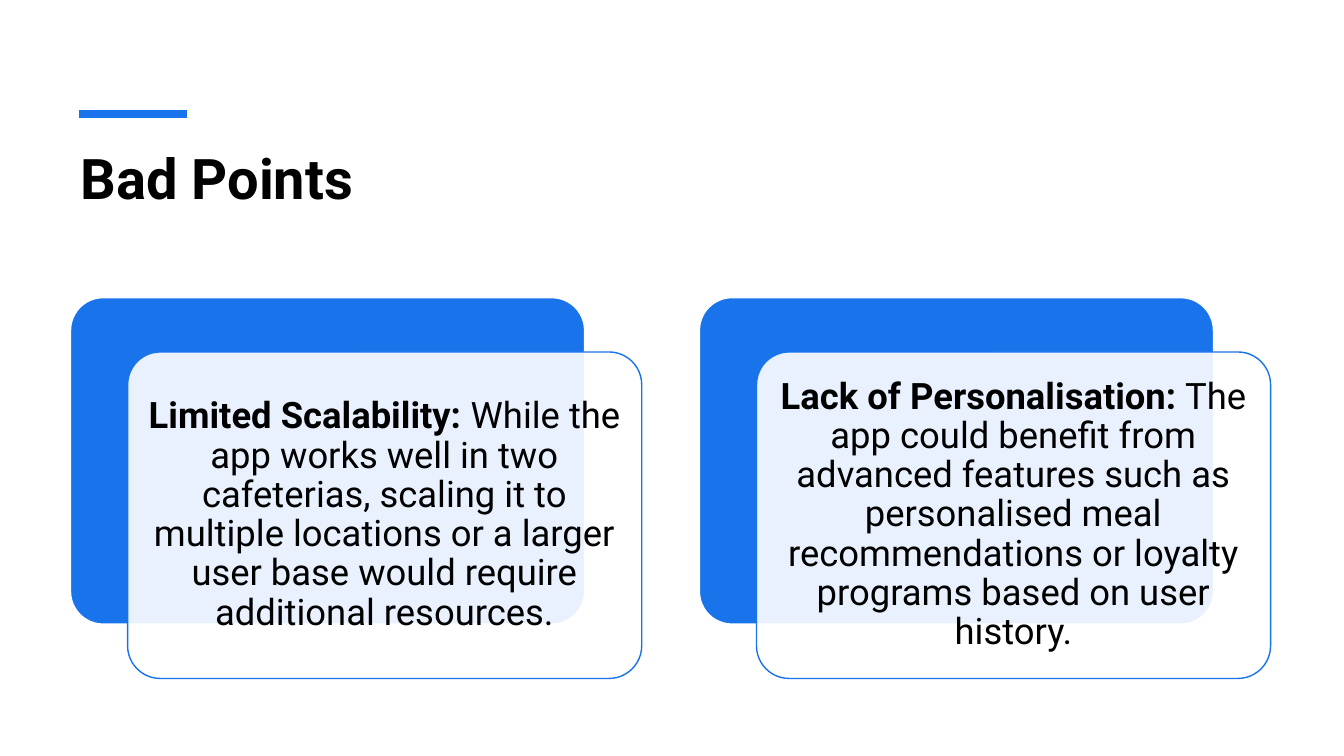
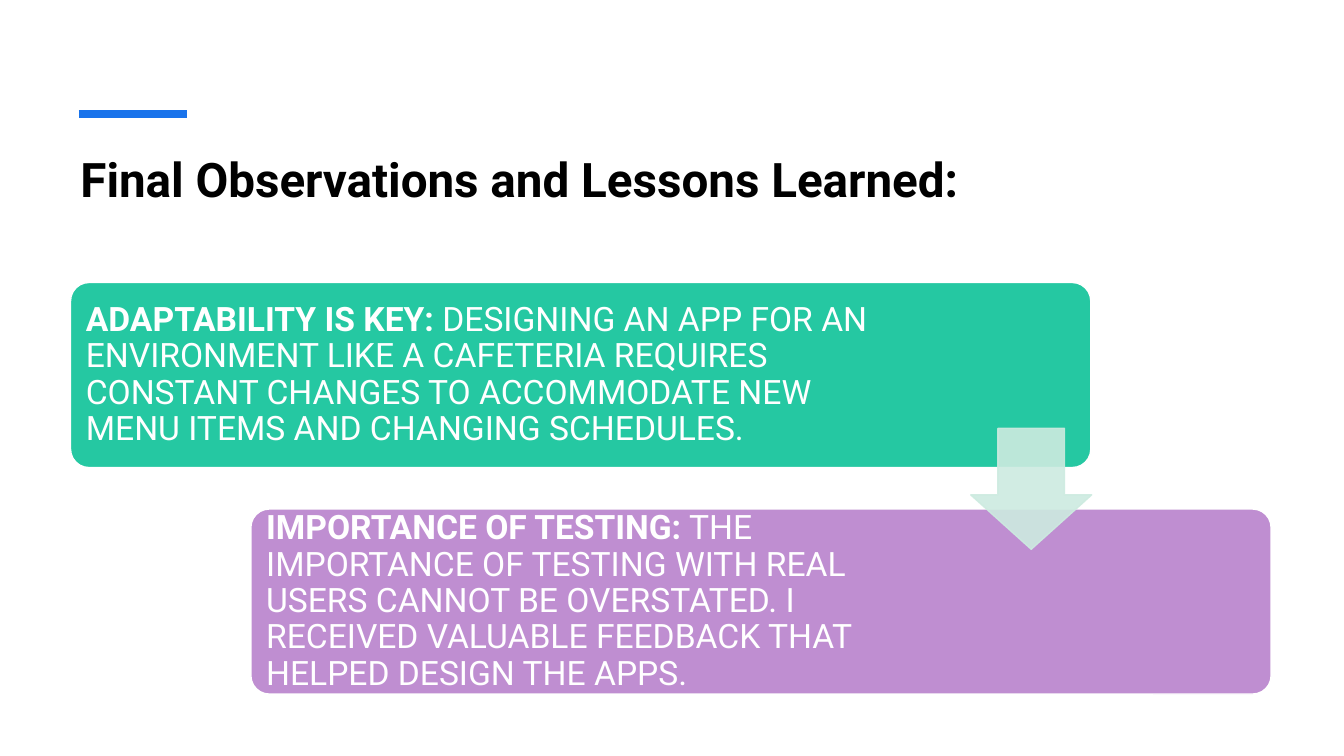
from dataclasses import dataclass
from typing import Optional

from lxml.etree import SubElement
from pptx import Presentation
from pptx.dml.color import RGBColor
from pptx.enum.shapes import MSO_CONNECTOR as Connector, MSO_SHAPE as Preset
from pptx.enum.text import MSO_ANCHOR as Anchor, PP_ALIGN as Align
from pptx.oxml.ns import qn
from pptx.util import Pt

# Shared look
BLUE = RGBColor(0x19, 0x73, 0xEB)
GREEN = RGBColor(0x25, 0xC8, 0xA2)
PURPLE = RGBColor(0xBF, 0x8E, 0xD1)
MINT = RGBColor(0xCD, 0xEB, 0xE0)
WHITE = RGBColor(0xFF, 0xFF, 0xFF)
BLACK = RGBColor(0x00, 0x00, 0x00)
FONT = "Roboto"
LEFT = 50.4
TIGHT = 0.9


@dataclass(frozen=True)
class Box:
    left: float
    top: float
    width: float
    height: float

    def shifted(self, dx: float, dy: float) -> "Box":
        return Box(self.left + dx, self.top + dy, self.width, self.height)

    def lengths(self) -> tuple:
        return Pt(self.left), Pt(self.top), Pt(self.width), Pt(self.height)


@dataclass(frozen=True)
class Point:
    lead: str
    detail: str


@dataclass(frozen=True)
class Lesson:
    point: Point
    color: RGBColor
    right_inset: float


BAD_POINTS = [
    Point("Limited Scalability:",
          " While the app works well in two cafeterias, scaling it to multiple "
          "locations or a larger user base would require additional resources."),
    Point("Lack of Personalisation:",
          " The app could benefit from advanced features such as personalised meal "
          "recommendations or loyalty programs based on user history."),
]
LESSONS = [
    Lesson(Point("ADAPTABILITY IS KEY:",
                 " DESIGNING AN APP FOR AN ENVIRONMENT LIKE A CAFETERIA REQUIRES "
                 "CONSTANT CHANGES TO ACCOMMODATE NEW MENU ITEMS AND CHANGING SCHEDULES."),
           GREEN, 136.8),
    Lesson(Point("IMPORTANCE OF TESTING:",
                 " THE IMPORTANCE OF TESTING WITH REAL USERS CANNOT BE OVERSTATED. "
                 "I RECEIVED VALUABLE FEEDBACK THAT HELPED DESIGN THE APPS."),
           PURPLE, 222.5),
]


def add_run(paragraph, text: str, size: float, color: RGBColor, bold: bool) -> None:
    run = paragraph.add_run()
    run.text = text
    run.font.name = FONT
    run.font.size = Pt(size)
    run.font.bold = bold
    run.font.color.rgb = color


def set_opacity(fill_format, percent: int) -> None:
    color = fill_format._xPr.find(qn("a:solidFill"))[0]
    SubElement(color, qn("a:alpha")).set("val", str(percent * 1000))


def add_panel(slide, preset, box: Box, adjustments: list, fill: RGBColor,
              line: RGBColor, opacity: Optional[int] = None):
    panel = slide.shapes.add_shape(preset, *box.lengths())
    panel.shadow.inherit = False
    for index, value in enumerate(adjustments):
        panel.adjustments[index] = value
    panel.fill.solid()
    panel.fill.fore_color.rgb = fill
    panel.line.color.rgb = line
    panel.line.width = Pt(1)
    if opacity is not None:
        set_opacity(panel.fill, opacity)
    return panel


def write_point(panel, point: Point, size: float, color: RGBColor, align,
                inset: float, right_inset: float) -> None:
    frame = panel.text_frame
    frame.word_wrap = True
    frame.vertical_anchor = Anchor.MIDDLE
    frame.margin_left = frame.margin_top = frame.margin_bottom = Pt(inset)
    frame.margin_right = Pt(right_inset)
    paragraph = frame.paragraphs[0]
    paragraph.alignment = align
    paragraph.line_spacing = TIGHT
    add_run(paragraph, point.lead, size, color, True)
    add_run(paragraph, point.detail, size, color, False)


def add_titled_slide(deck, title: str, size: float, box: Box, anchor, spacing: float):
    slide = deck.slides.add_slide(deck.slide_layouts[6])
    # Accent rule
    rule = slide.shapes.add_connector(Connector.STRAIGHT, Pt(56.4), Pt(81.4),
                                      Pt(133.4), Pt(81.4))
    rule.line.color.rgb = BLUE
    rule.line.width = Pt(6)
    SubElement(rule._element.spPr, qn("a:effectLst"))
    # Title
    frame = slide.shapes.add_textbox(*box.lengths()).text_frame
    frame.word_wrap = True
    frame.vertical_anchor = anchor
    paragraph = frame.paragraphs[0]
    paragraph.line_spacing = spacing
    add_run(paragraph, title, size, BLACK, True)
    return slide


def build_bad_points(deck) -> None:
    slide = add_titled_slide(deck, "Bad Points", 40, Box(LEFT, 44.6, 857.5, 109.4),
                             Anchor.BOTTOM, 1.0)
    first_back = Box(LEFT, 212.6, 367.2, 233.2)
    for column, point in enumerate(BAD_POINTS):
        back = first_back.shifted(column * 449.2, 0)
        add_panel(slide, Preset.ROUNDED_RECTANGLE, back, [0.1], BLUE, WHITE)
        front = add_panel(slide, Preset.ROUNDED_RECTANGLE, back.shifted(40.8, 38.8),
                          [0.1], WHITE, BLUE, 90)
        write_point(front, point, 26, BLACK, Align.CENTER, 7.8, 7.8)


def build_lessons(deck) -> None:
    slide = add_titled_slide(deck, "Final Observations and Lessons Learned:", 34,
                             Box(LEFT, 108, 857.5, 86.4), Anchor.TOP, TIGHT)
    first_step = Box(LEFT, 201.8, 728.8, 132.2)
    for row, lesson in enumerate(LESSONS):
        step = add_panel(slide, Preset.ROUNDED_RECTANGLE,
                         first_step.shifted(row * 128.8, row * 161.8), [0.1],
                         lesson.color, WHITE)
        write_point(step, lesson.point, 24, WHITE, Align.LEFT, 7.2, lesson.right_inset)
    # Arrow between the steps
    arrow = add_panel(slide, Preset.DOWN_ARROW, Box(693.4, 306, 86.4, 86.4),
                      [0.45, 0.55], MINT, MINT, 90)
    # Shaft is 55 % wide and the head takes 45 % of the height
    arrow.adjustments[0], arrow.adjustments[1] = 0.55, 0.45
    set_opacity(arrow.line.fill, 90)


def main() -> None:
    deck = Presentation()
    deck.slide_width, deck.slide_height = Pt(960), Pt(540)
    build_bad_points(deck)
    build_lessons(deck)
    deck.save("out.pptx")


if __name__ == "__main__":
    main()
